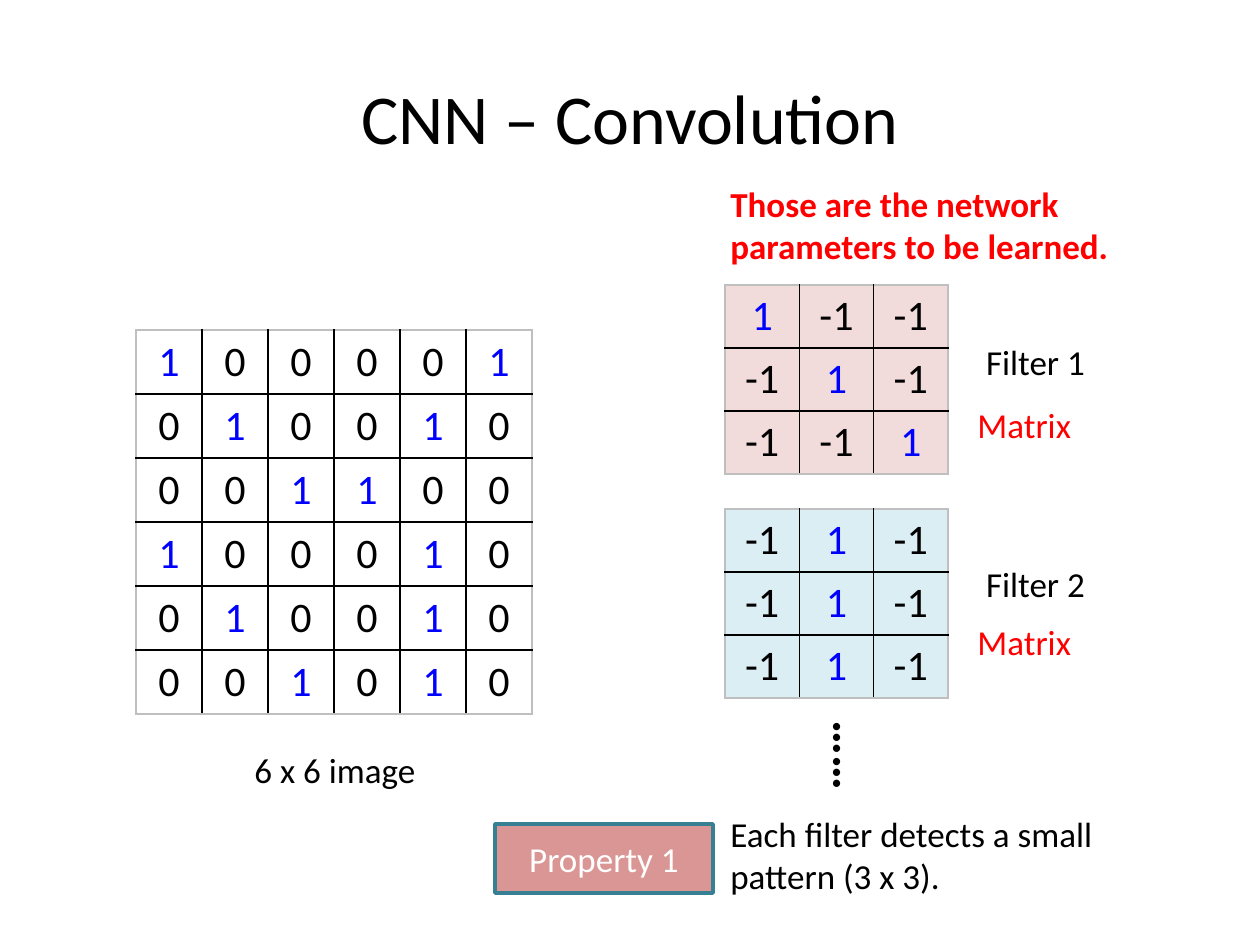
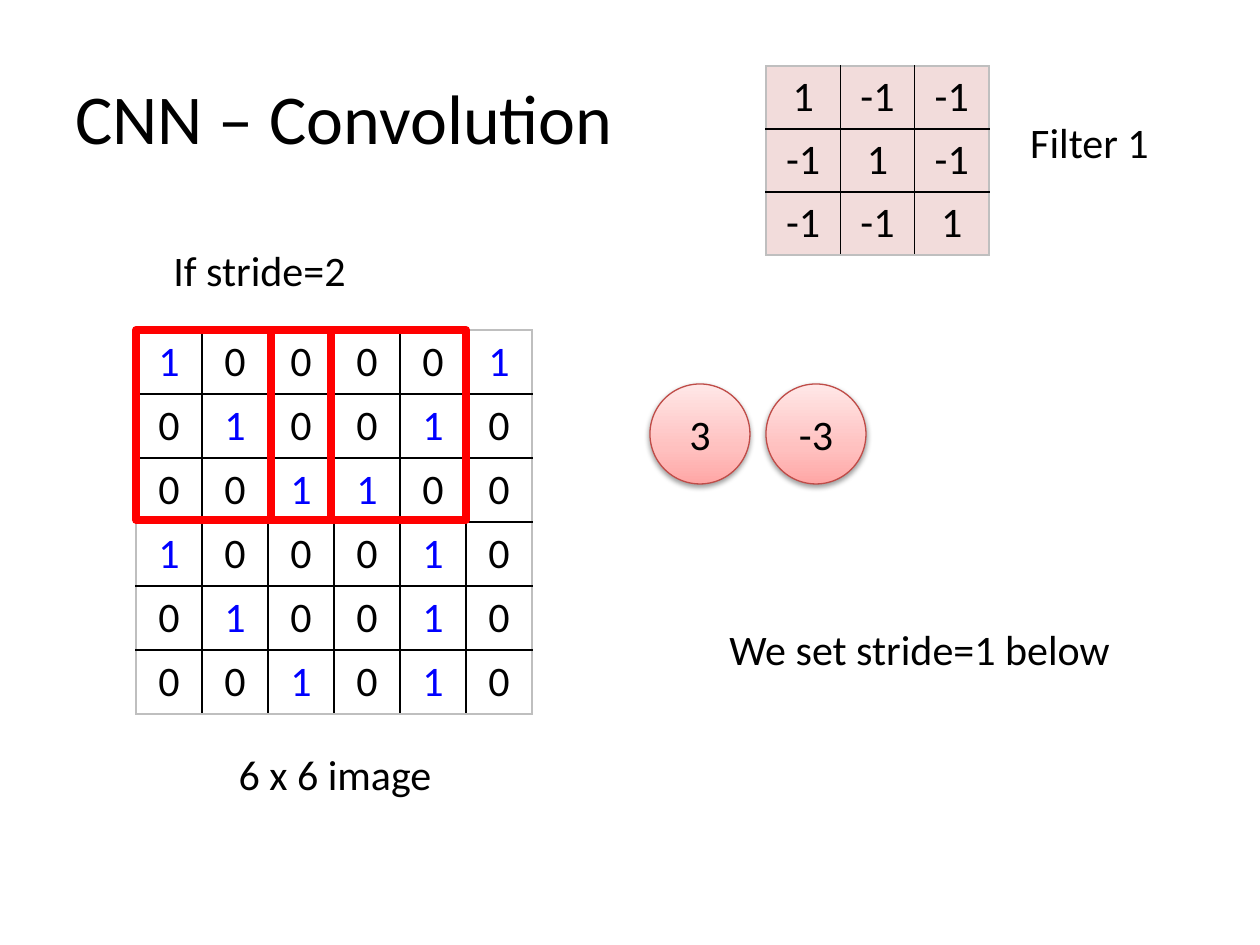
from copy import deepcopy

from lxml.etree import SubElement
from pptx import Presentation
from pptx.dml.color import RGBColor
from pptx.enum.shapes import MSO_SHAPE
from pptx.enum.text import MSO_ANCHOR, MSO_AUTO_SIZE, PP_ALIGN
from pptx.oxml.ns import qn
from pptx.util import Pt

EMU_PER_PX = 914400 / 126
FONT = "Calibri"
COLORS = {
    "black": "000000", "white": "FFFFFF", "red": "FF0000", "blue": "0000FF",
    "pink": "F2DCDB", "ice": "DBEEF4", "edge": "BFBFBF",
    "rose": "D99694", "teal": "377F92", "neuron_line": "BF4C48",
}
NEURON_STOPS = [(0, "FFA6A5"), (0.35, "FFC0BF"), (1, "FFE7E7")]

IMAGE = [
    [1, 0, 0, 0, 0, 1],
    [0, 1, 0, 0, 1, 0],
    [0, 0, 1, 1, 0, 0],
    [1, 0, 0, 0, 1, 0],
    [0, 1, 0, 0, 1, 0],
    [0, 0, 1, 0, 1, 0],
]
FILTER_1 = [[1, -1, -1], [-1, 1, -1], [-1, -1, 1]]
FILTER_2 = [[-1, 1, -1]] * 3
IMAGE_BOX = (136, 330, 396, 384)
FILTER_SIZE = (223, 189)


def px(n):
    return round(n * EMU_PER_PX)


def rgb(name):
    return RGBColor.from_string(COLORS[name])


class Deck:
    def __init__(self):
        self.prs = Presentation()
        self.prs.slide_width, self.prs.slide_height = px(1260), px(945)
        self.s = None

    def new_slide(self, title, align):
        self.s = self.prs.slides.add_slide(self.prs.slide_layouts[5])
        sp = self.s.shapes.title
        sp.left, sp.top, sp.width, sp.height = map(px, (63, 38, 1134, 157))
        tf = sp.text_frame
        tf.vertical_anchor = MSO_ANCHOR.MIDDLE
        self.set_text(tf, title, 40, align=align)

    def set_text(self, tf, text, size, color="black", bold=False, align=PP_ALIGN.LEFT):
        tf.text = text
        p = tf.paragraphs[0]
        p.alignment = align
        for r in p.runs:
            r.font.name, r.font.size, r.font.bold = FONT, Pt(size), bold
            r.font.color.rgb = rgb(color)

    def text(self, box, text, size=20, wrap=True, rotation=0, **style):
        sp = self.s.shapes.add_textbox(*map(px, box))
        sp.rotation = rotation
        tf = sp.text_frame
        tf.word_wrap = wrap
        tf.auto_size = MSO_AUTO_SIZE.SHAPE_TO_FIT_TEXT
        self.set_text(tf, text, size, **style)

    def matrix(self, box, values, fill=None, one="blue"):
        """Draw a grid of numbers, with every 1 in its own colour."""
        rows, cols = len(values), len(values[0])
        table = self.s.shapes.add_table(rows, cols, *map(px, box)).table
        table.first_row = table.horz_banding = False
        for i, row in enumerate(values):
            for j, value in enumerate(row):
                cell = table.cell(i, j)
                cell.margin_top = cell.margin_bottom = px(4)
                cell.vertical_anchor = MSO_ANCHOR.MIDDLE
                self.set_text(cell.text_frame, str(value), 24,
                              one if value == 1 else "black", align=PP_ALIGN.CENTER)
                outer = {"L": j == 0, "R": j == cols - 1,
                         "T": i == 0, "B": i == rows - 1}
                for side, is_outer in outer.items():
                    self.border(cell, side, "edge" if is_outer else "black")
                if fill:
                    cell.fill.solid()
                    cell.fill.fore_color.rgb = rgb(fill)
                else:
                    cell.fill.background()

    def border(self, cell, side, color):
        tc_pr = cell._tc.get_or_add_tcPr()
        ln = SubElement(tc_pr, qn(f"a:ln{side}"), w=str(Pt(1)))
        solid = SubElement(ln, qn("a:solidFill"))
        SubElement(solid, qn("a:srgbClr"), val=COLORS[color])

    def shape(self, kind, box, line, width, fill=None):
        sp = self.s.shapes.add_shape(kind, *map(px, box))
        sp.shadow.inherit = False
        sp.line.color.rgb = rgb(line)
        sp.line.width = Pt(width)
        if fill:
            sp.fill.solid()
            sp.fill.fore_color.rgb = rgb(fill)
        else:
            sp.fill.background()
        sp.text_frame.vertical_anchor = MSO_ANCHOR.MIDDLE
        return sp

    def label(self, box, text):
        sp = self.shape(MSO_SHAPE.RECTANGLE, box, "teal", 2, "rose")
        self.set_text(sp.text_frame, text, 20, "white", align=PP_ALIGN.CENTER)

    def window(self, box):
        self.shape(MSO_SHAPE.RECTANGLE, box, "red", 4.5)

    def neuron(self, box, text):
        """Draw a shaded circle with a soft shadow."""
        sp = self.shape(MSO_SHAPE.OVAL, box, "neuron_line", 0.75)
        sp.fill.gradient()
        sp.fill.gradient_angle = 90
        sp_pr = sp._element.spPr
        stops = sp_pr.find(".//" + qn("a:gsLst"))
        stops.insert(1, deepcopy(stops[0]))
        for stop, (position, color) in zip(sp.fill.gradient_stops, NEURON_STOPS):
            stop.position = position
            stop.color.rgb = RGBColor.from_string(color)
        shadow = SubElement(sp_pr.find(qn("a:effectLst")), qn("a:outerShdw"),
                            blurRad=str(Pt(3.1)), dist=str(Pt(1.6)),
                            dir="5400000", rotWithShape="0")
        color = SubElement(shadow, qn("a:srgbClr"), val=COLORS["black"])
        SubElement(color, qn("a:alpha"), val="38000")
        self.set_text(sp.text_frame, text, 24, align=PP_ALIGN.CENTER)


def filters_slide(deck):
    deck.new_slide("CNN – Convolution", PP_ALIGN.CENTER)
    deck.matrix(IMAGE_BOX, IMAGE)
    deck.text((173, 742, 324, 55), "6 x 6 image", align=PP_ALIGN.CENTER)
    filters = [
        ("Filter 1", FILTER_1, "pink", 285, 334, 397),
        ("Filter 2", FILTER_2, "ice", 509, 556, 614),
    ]
    for name, values, fill, top, name_top, kind_top in filters:
        deck.matrix((725, top, *FILTER_SIZE), values, fill)
        deck.text((936, name_top, 199, 55), name, align=PP_ALIGN.CENTER)
        deck.text((965, kind_top, 141, 55), "Matrix", color="red")
    deck.text((804, 721, 97, 72), "……", 28, rotation=90, bold=True)
    deck.text((718, 176, 490, 97), "Those are the network parameters to be learned.",
              color="red", bold=True)
    deck.text((718, 806, 490, 97), "Each filter detects a small pattern (3 x 3).")
    deck.label((495, 824, 218, 69), "Property 1")


def stride_slide(deck):
    deck.new_slide("CNN – Convolution", PP_ALIGN.LEFT)
    deck.matrix(IMAGE_BOX, IMAGE)
    deck.text((173, 742, 324, 63), "6 x 6 image", 24, align=PP_ALIGN.CENTER)
    deck.matrix((766, 66, *FILTER_SIZE), FILTER_1, "pink", one="black")
    deck.text((990, 110, 199, 63), "Filter 1", 24, align=PP_ALIGN.CENTER)
    for i, result in enumerate(["3", "-3"]):
        deck.window((136 + 135 * i, 330, 195, 190))
        deck.neuron((650 + 116 * i, 384, 100, 100), result)
    deck.text((161, 238, 199, 63), "If stride=2", 24, wrap=False)
    deck.text((717, 617, 410, 63), "We set stride=1 below", 24, wrap=False)


def main():
    deck = Deck()
    filters_slide(deck)
    stride_slide(deck)
    deck.prs.save("out.pptx")


if __name__ == "__main__":
    main()
